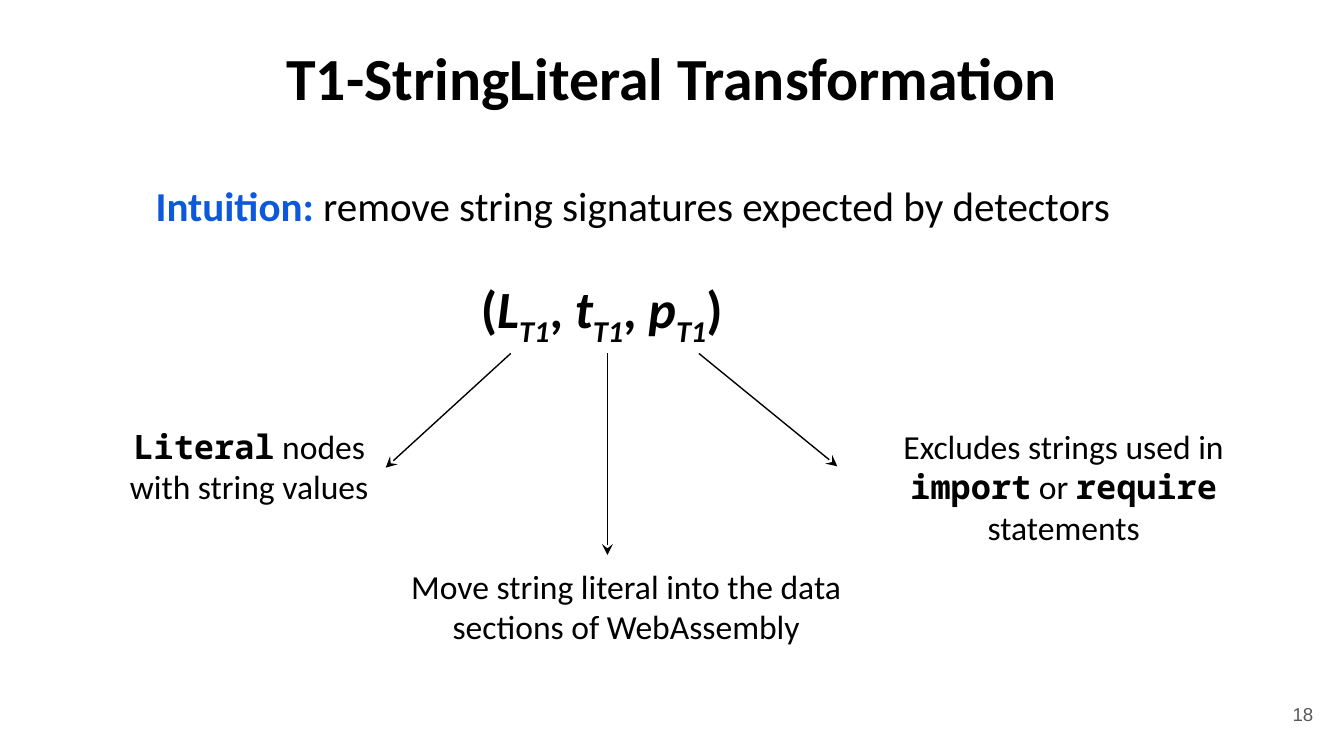
"""Build the T1-StringLiteral slide on a grid of tenth-inch columns and rows."""
from lxml.etree import SubElement
from pptx import Presentation
from pptx.dml.color import RGBColor
from pptx.enum.shapes import MSO_CONNECTOR
from pptx.enum.text import MSO_ANCHOR, PP_ALIGN
from pptx.oxml.ns import qn
from pptx.util import Inches, Pt

COLORS = {"text": "000000", "accent": "0C5ADB", "muted": "595959"}
SANS, MONO, NUMBER = "Calibri", "Noto Sans Mono", "Arial"
BOLD = {"bold": True}
CODE = {"bold": True, "name": MONO}
VAR = {"bold": True, "italic": True}
SUB = {"bold": True, "italic": True, "baseline": -25000}
CENTER = {"alignment": PP_ALIGN.CENTER}
RIGHT = {"alignment": PP_ALIGN.RIGHT}
ARROW_TOP = 26.3


def grid(*cells):
    """Turn grid columns or rows into lengths."""
    return [Inches(n / 10) for n in cells]


def add_run(p, text, size, color="text", baseline=None, **font):
    """Append one formatted run."""
    r = p.add_run()
    r.text = text
    for key, value in {"name": SANS, "size": Pt(size), "bold": False, **font}.items():
        setattr(r.font, key, value)
    r.font.color.rgb = RGBColor.from_string(COLORS[color])
    if baseline:
        r._r.get_or_add_rPr().set("baseline", str(baseline))


def add_text(s, at, size, runs, para=None, pad=0.5, indent=0, anchor=MSO_ANCHOR.TOP):
    """Add a wrapped text box holding one paragraph of runs."""
    tf = s.shapes.add_textbox(*grid(*at)).text_frame
    left, top = grid(1, pad)
    frame = {"word_wrap": True, "vertical_anchor": anchor, "margin_left": left,
             "margin_right": left, "margin_top": top, "margin_bottom": top}
    for key, value in frame.items():
        setattr(tf, key, value)
    p = tf.paragraphs[0]
    for key, value in (para or {}).items():
        setattr(p, key, value)
    if indent:
        pPr = p._p.get_or_add_pPr()
        pPr.set("marL", str(Inches(indent / 10)))
        pPr.set("indent", "0")
    for text, font in runs:
        add_run(p, text, size, **font)


def add_arrow(s, start, end):
    """Add a thin line with a stealth head at its end."""
    line = s.shapes.add_connector(MSO_CONNECTOR.STRAIGHT, *grid(*start, *end))
    line.line.width = Pt(0.75)
    line.line.color.rgb = RGBColor.from_string(COLORS["text"])
    SubElement(line.line._get_or_add_ln(), qn("a:tailEnd"), type="stealth")
    SubElement(line._element.spPr, qn("a:effectLst"))


def main():
    """Build and save the slide."""
    prs = Presentation()
    prs.slide_width, prs.slide_height = grid(100, 56.25)
    s = prs.slides.add_slide(prs.slide_layouts[6])

    add_text(s, (3.4, 2, 93.2, 8.1), 32,
             [("T1-StringLiteral Transformation", BOLD)], CENTER, pad=1)
    add_text(s, (9.4, 11.9, 89.2, 9.1), 22,
             [("Intuition: ", {"bold": True, "color": "accent"}),
              ("remove string signatures expected by detectors", {})],
             {"line_spacing": 1.15}, pad=1, indent=1.2)
    add_text(s, (34.8, 20.1, 21.9, 5.7), 28,
             [("(", BOLD), ("L", VAR), ("T1", SUB), (", ", BOLD), ("t", VAR),
              ("T1", SUB), (",", BOLD), (" p", VAR), ("T1", SUB), (")", BOLD)])

    add_text(s, (7.3, 31.2, 21.3, 7.1), 18,
             [("Literal", CODE), (" nodes with string values", {})], CENTER, indent=1.2)
    add_text(s, (26.7, 41.6, 38.6, 7.1), 18,
             [("Move string literal into the data sections of WebAssembly", {})],
             CENTER, indent=1.2)
    add_text(s, (62.3, 31.2, 33.7, 7.1), 18,
             [("Excludes strings used in ", {}), ("import", CODE), (" or ", {}),
              ("require", CODE), (" statements", {})], CENTER)
    add_text(s, (92.7, 51, 6, 4.3), 10, [("18", {"name": NUMBER, "color": "muted"})],
             RIGHT, pad=1, anchor=MSO_ANCHOR.MIDDLE)

    for x, end in ((45.2, (45.2, 41.3)), (38, (28.7, 34.8)), (52, (62.3, 34.7))):
        add_arrow(s, (x, ARROW_TOP), end)
    prs.save("out.pptx")


if __name__ == "__main__":
    main()
